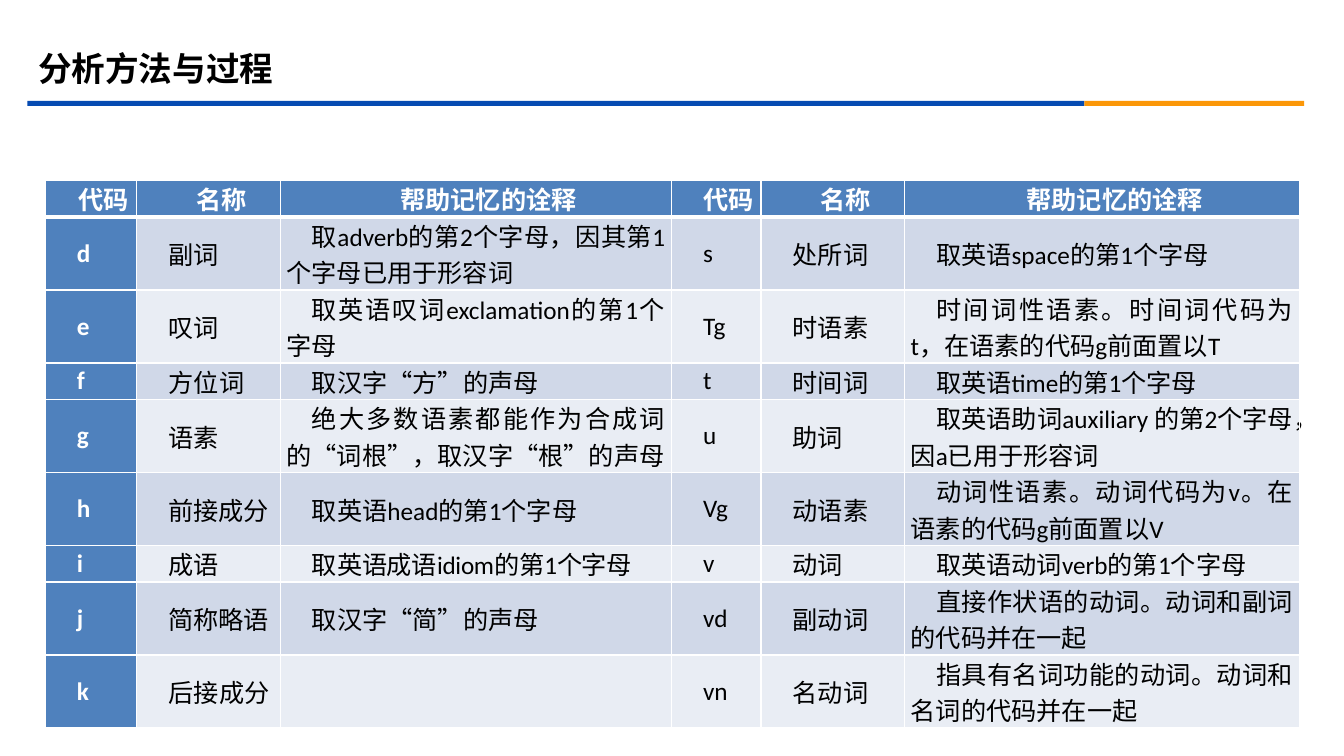
from lxml import etree
from pptx import Presentation
from pptx import util as u
from pptx.dml.color import RGBColor
from pptx.enum import shapes, text
from pptx.oxml.ns import qn

BLUE = RGBColor(0x06, 0x4B, 0xB2)
ORANGE = RGBColor(0xFB, 0x97, 0x08)
HEADER = RGBColor(0x4F, 0x81, 0xBD)
BANDS = [RGBColor(0xE9, 0xED, 0xF4), RGBColor(0xD0, 0xD8, 0xE8)]
WHITE = RGBColor(0xFF, 0xFF, 0xFF)
BLACK = RGBColor(0x00, 0x00, 0x00)
CJK = "Noto Sans CJK SC"
TIGHT_MARK = "|"

HEADINGS = ["代码", "名称", "帮助记忆的诠释"] * 2
ENTRIES = [
    ["d", "副词", "取adverb的第2个字母，因其第1个字母已用于形容词",
     "s", "处所词", "取英语space的第1个字母"],
    ["e", "叹词", "取英语叹词exclamation的第1个字母",
     "Tg", "时语素", "时间词性语素。时间词代码为t，在语素的代码g前面置以T"],
    ["f", "方位词", "取汉字“方”的声母",
     "t", "时间词", "取英语time的第1个字母"],
    ["g", "语素", "绝大多数语素都能作为合成词的“词根”，取汉字“根”的声母",
     "u", "助词", "取英语助词auxiliary 的第2个字母，因a已用于形容词"],
    ["h", "前|接成分", "取英语head的第1个字母",
     "Vg", "动语素", "动词性语素。动词代码为v。在语素的代码g前面置以V"],
    ["i", "成语", "取|英语成语idiom的第1个字母",
     "v", "动词", "取英语动词verb的第1个字母"],
    ["j", "简|称略语", "取汉字“简”的声母",
     "vd", "副动词", "直接作状语的动词。动词和副词的代码并在一起"],
    ["k", "后接成分", "",
     "vn", "名动词", "指具有名词功能的动词。动词和名词的代码并在一起"],
]
COLUMN_WIDTHS = [2.31, 3.61, 9.86, 2.26, 3.61, 9.96]
ROW_HEIGHTS = [0.58, 0.58, 0.86, 0.58, 0.86, 0.58, 0.58, 0.58, 0.58]


def style_font(para, latin, size, color, bold):
    font = para.font
    font.name, font.size, font.bold = latin, u.Pt(size), bold
    font.color.rgb = color
    etree.SubElement(font._element, qn("a:ea"), typeface=CJK)


def add_border(cell, side, points):
    line = etree.SubElement(cell._tc.get_or_add_tcPr(), qn("a:ln" + side), w=str(u.Pt(points)))
    fill = etree.SubElement(line, qn("a:solidFill"))
    etree.SubElement(fill, qn("a:srgbClr"), val=str(WHITE))


deck = Presentation()
deck.slide_width, deck.slide_height = u.Cm(33.87), u.Cm(19.05)
page = deck.slides.add_slide(deck.slide_layouts[6])

for left, width, color in [(0.69, 26.64, BLUE), (27.33, 5.54, ORANGE)]:
    bar = page.shapes.add_shape(shapes.MSO_SHAPE.RECTANGLE,
                                u.Cm(left), u.Cm(2.54), u.Cm(width), u.Cm(0.13))
    bar.shadow.inherit = False
    bar.fill.solid()
    bar.fill.fore_color.rgb = color
    bar.line.fill.background()

frame = page.shapes.add_table(len(ENTRIES) + 1, len(HEADINGS),
                              u.Cm(1.14), u.Cm(4.55), u.Cm(31.61), u.Cm(11.43))
table = frame.table
table.first_col = True
for column, width in zip(table.columns, COLUMN_WIDTHS):
    column.width = u.Cm(width)
for row, height in zip(table.rows, ROW_HEIGHTS):
    row.height = u.Cm(height)
frame.height = u.Cm(11.43)

for r, entry in enumerate([HEADINGS] + ENTRIES):
    for c, wording in enumerate(entry):
        cell = table.cell(r, c)
        strong = r == 0 or c == 0
        for side, points in [("L", 1), ("R", 1), ("T", 3 if r == 1 else 1), ("B", 3 if r == 0 else 1)]:
            add_border(cell, side, points)
        cell.fill.solid()
        cell.fill.fore_color.rgb = HEADER if strong else BANDS[r % 2]
        cell.vertical_anchor = text.MSO_ANCHOR.MIDDLE
        cell.margin_left = cell.margin_right = u.Cm(0.16)
        cell.margin_top = cell.margin_bottom = 0
        para = cell.text_frame.paragraphs[0]
        para.alignment = text.PP_ALIGN.CENTER if r == 0 else text.PP_ALIGN.JUSTIFY
        para._p.get_or_add_pPr().set("indent", str(u.Cm(0.64)))
        style_font(para, "Calibri", 18, WHITE if strong else BLACK, strong)
        if wording:
            for part, piece in enumerate(wording.split(TIGHT_MARK)):
                span = para.add_run()
                span.text = piece
                if part:
                    span._r.get_or_add_rPr().set("spc", "-20")

title = page.shapes.add_textbox(u.Cm(0.71), u.Cm(0.99), u.Cm(30.48), u.Cm(1.47))
title.text_frame.word_wrap = True
title.text_frame.vertical_anchor = text.MSO_ANCHOR.MIDDLE
para = title.text_frame.paragraphs[0]
para.text = "分析方法与过程"
style_font(para, CJK, 24, BLACK, True)

deck.save("out.pptx")
